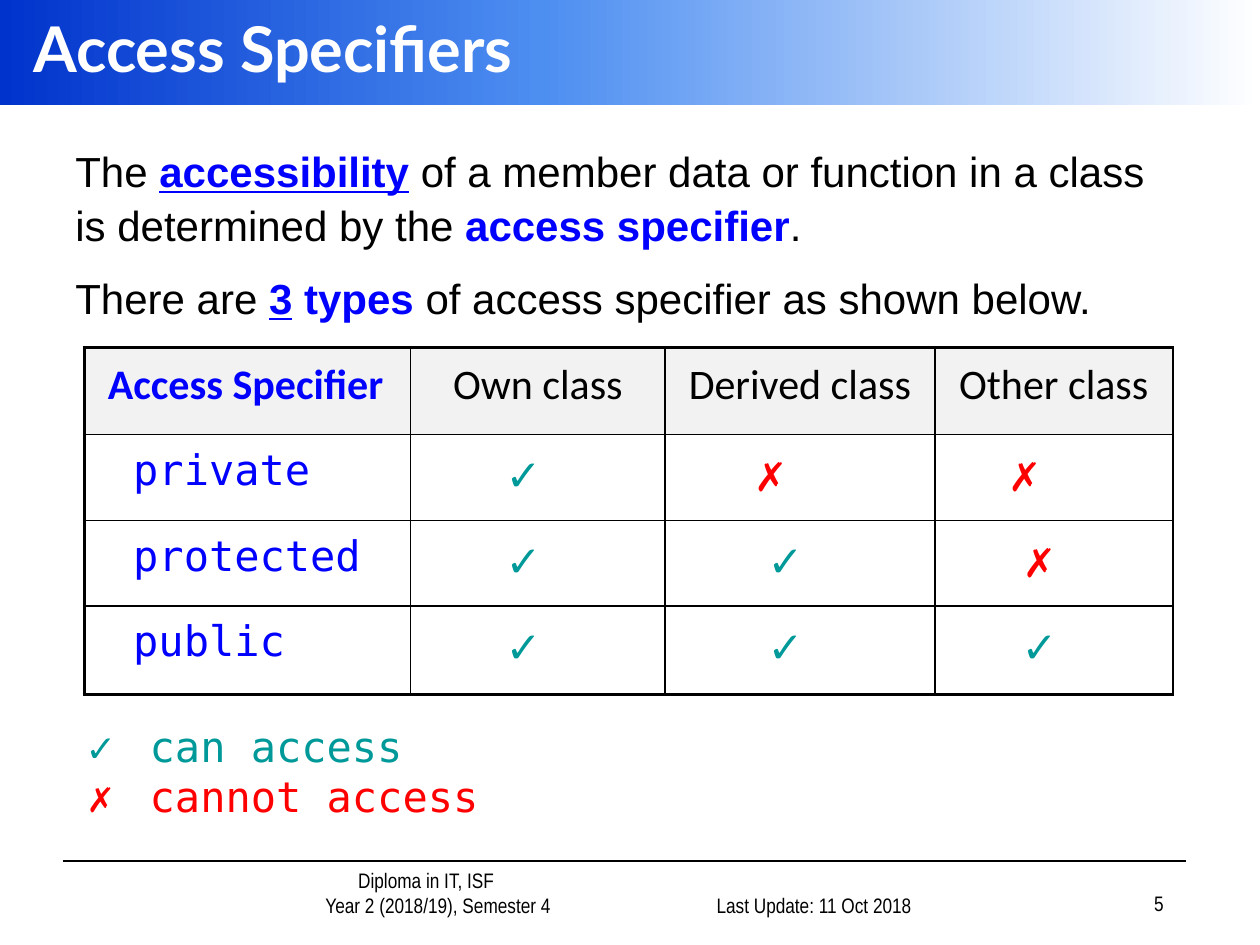
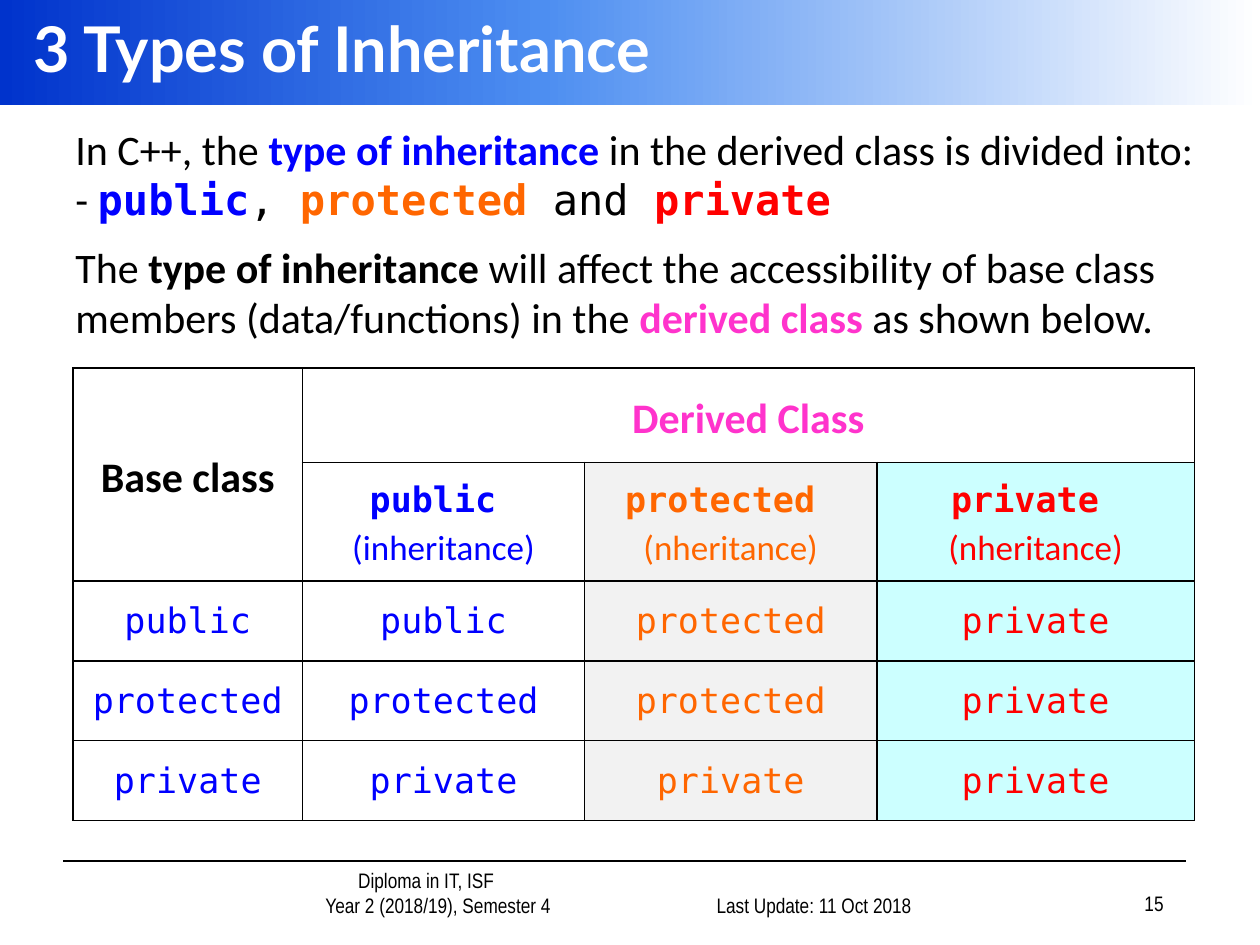
"""Build two lecture slides on access specifiers and inheritance."""
from copy import deepcopy
from dataclasses import dataclass

from lxml import etree
from pptx import Presentation
from pptx.dml.color import RGBColor
from pptx.enum.shapes import MSO_CONNECTOR, MSO_SHAPE
from pptx.enum.text import MSO_ANCHOR, PP_ALIGN
from pptx.oxml.ns import qn
from pptx.util import Pt

STRAIGHT = MSO_CONNECTOR.STRAIGHT
RECTANGLE = MSO_SHAPE.RECTANGLE
CENTER, RIGHT = PP_ALIGN.CENTER, PP_ALIGN.RIGHT
TOP, MIDDLE, BOTTOM = MSO_ANCHOR.TOP, MSO_ANCHOR.MIDDLE, MSO_ANCHOR.BOTTOM


@dataclass(frozen=True)
class Theme:
    """Colours, fonts, type sizes and line widths of the slides."""
    black: str = "000000"
    white: str = "FFFFFF"
    blue: str = "0000FF"
    orange: str = "FF6600"
    red: str = "FF0000"
    teal: str = "009999"
    pink: str = "FF33CC"
    grey: str = "F2F2F2"
    aqua: str = "CCFFFF"
    band: tuple = ((0, "0033CC"), (0.43, "4D8EF1"), (1, "FFFFFF"))
    title_font: str = "Lato"
    text_font: str = "Calibri"
    plain_font: str = "Arial"
    code_font: str = "DejaVu Sans Mono"
    footer_font: str = "Arial Narrow"
    title_size: float = 36
    mark_size: float = 28
    text_size: float = 24
    small_size: float = 20
    footer_size: float = 12
    thin: float = 1
    thick: float = 2.25


THEME = Theme()


def style(color=None, size=None, name=None, **attributes):
    """Return the format values of a run, leaving out those not given."""
    values = {"color": color, "size": size and Pt(size), "name": name, **attributes}
    return {key: value for key, value in values.items() if value is not None}


def paragraph_of(*runs, **values):
    """Return a paragraph as its runs and its format values."""
    return runs, values


def apply(target, values):
    """Set each format value as an attribute of the target."""
    for attribute, value in values.items():
        setattr(target, attribute, value)


class Deck:
    """Holds the theme, the presentation and the current slide."""

    def __init__(self, theme):
        """Start an empty presentation."""
        self.theme = theme
        self.slide = None
        self.presentation = Presentation()
        apply(self.presentation, {"slide_width": Pt(720), "slide_height": Pt(540)})

    def fill_frame(self, frame, paragraphs, base, frame_values):
        """Fill a text frame with formatted paragraphs."""
        apply(frame, {"word_wrap": True, **frame_values})
        for index, (runs, values) in enumerate(paragraphs):
            paragraph = frame.paragraphs[0] if index == 0 else frame.add_paragraph()
            values = dict(values)
            for indent in ("marL", "indent"):
                if indent in values:
                    properties = paragraph._p.get_or_add_pPr()
                    properties.set(indent, str(Pt(values.pop(indent))))
            apply(paragraph, values)
            for item in runs:
                text, extra = (item, {}) if isinstance(item, str) else item
                run = paragraph.add_run()
                run.text = text
                font_values = {**base, **extra}
                run.font.color.rgb = RGBColor.from_string(font_values.pop("color"))
                apply(run.font, font_values)

    def text(self, box, paragraphs, base, anchor=TOP):
        """Add a text box."""
        shape = self.slide.shapes.add_textbox(*map(Pt, box))
        self.fill_frame(shape.text_frame, paragraphs, base, {"vertical_anchor": anchor})

    def band(self, box):
        """Add the gradient band behind the title."""
        shape = self.slide.shapes.add_shape(RECTANGLE, *map(Pt, box))
        shape.shadow.inherit = False
        shape.line.fill.background()
        shape.fill.gradient()
        shape.fill.gradient_angle = 0
        stop_list = shape._element.spPr.find(".//" + qn("a:gsLst"))
        stop_list.append(deepcopy(stop_list[-1]))
        for stop, (position, color) in zip(shape.fill.gradient_stops, self.theme.band):
            stop.position = position
            stop.color.rgb = RGBColor.from_string(color)

    def rule(self, left, top, right):
        """Add a horizontal line."""
        line = self.slide.shapes.add_connector(
            STRAIGHT, Pt(left), Pt(top), Pt(right), Pt(top))
        line.line.color.rgb = RGBColor.from_string(self.theme.black)
        line.line.width = Pt(self.theme.thin)
        etree.SubElement(line._element.spPr, qn("a:effectLst"))

    def page(self, title, number):
        """Add a slide with its title band and footer."""
        theme = self.theme
        self.slide = self.presentation.slides.add_slide(
            self.presentation.slide_layouts[6])
        self.band((0, 0, 720, 60))
        self.text((12, 0, 708, 54), [paragraph_of(title)],
                  style(theme.white, theme.title_size, theme.title_font, bold=True),
                  MIDDLE)
        self.rule(36, 492, 678)
        course = [paragraph_of("Diploma in IT, ISF", alignment=CENTER, marL=36),
                  paragraph_of("Year 2 (2018/19), Semester 4",
                               alignment=CENTER, marL=49.7)]
        update = [paragraph_of("Last Update: 11 Oct 2018", alignment=RIGHT)]
        page_number = [paragraph_of(str(number), alignment=RIGHT)]
        footer = style(theme.black, theme.footer_size, theme.footer_font)
        for box, paragraphs in (((121, 498.2, 209, 30), course),
                                ((342, 498.2, 186, 30), update),
                                ((522, 496.8, 150, 30), page_number)):
            self.text(box, paragraphs, footer, BOTTOM)

    def table(self, left, top, widths, heights):
        """Add an unstyled table with the given grid."""
        frame = self.slide.shapes.add_table(
            len(heights), len(widths), Pt(left), Pt(top),
            Pt(sum(widths)), Pt(sum(heights)))
        table = frame.table
        apply(table, {"first_row": False, "horz_banding": False})
        for column, width in zip(table.columns, widths):
            column.width = Pt(width)
        for row, height in zip(table.rows, heights):
            row.height = Pt(height)
        return table

    def cell(self, cell, paragraphs, base, insets, fill=None, anchor=TOP, thick=""):
        """Fill a cell; thick names the sides (L, R, T, B) with a heavy border."""
        theme = self.theme
        left, upper, right, lower = map(Pt, insets)
        apply(cell, {"margin_left": left, "margin_top": upper, "margin_right": right,
                     "margin_bottom": lower, "vertical_anchor": anchor})
        self.fill_frame(cell.text_frame, paragraphs, base, {})
        properties = cell._tc.get_or_add_tcPr()
        for side in "LRTB":
            width = theme.thick if side in thick else theme.thin
            border = etree.SubElement(properties, qn("a:ln" + side), w=str(Pt(width)))
            solid = etree.SubElement(border, qn("a:solidFill"))
            etree.SubElement(solid, qn("a:srgbClr"), val=theme.black)
        if fill:
            cell.fill.solid()
            cell.fill.fore_color.rgb = RGBColor.from_string(fill)
        else:
            cell.fill.background()


def access_slide(deck):
    """Build the slide that says which class can access which members."""
    theme = deck.theme
    deck.page("Access Specifiers", 5)
    key = style(theme.blue, bold=True)
    deck.text((36, 78, 648, 120), [
        paragraph_of("The ", ("accessibility", {**key, "underline": True}),
                     " of a member data or function in a class is determined by the ",
                     ("access specifier", key), ".", line_spacing=1.06),
        paragraph_of("There are ", ("3", {**key, "underline": True}), (" types ", key),
                     "of access specifier as shown below.",
                     line_spacing=1.06, space_before=Pt(11.5)),
    ], style(theme.black, theme.text_size, theme.plain_font))

    headings = ("Access Specifier", "Own class", "Derived class", "Other class")
    access = (("private", "✓✗✗"), ("protected", "✓✓✗"), ("public", "✓✓✓"))
    mark_colors = {"✓": theme.teal, "✗": theme.red}
    code = style(theme.blue, theme.text_size, theme.code_font)
    heading = style(theme.black, theme.text_size, theme.text_font)
    table = deck.table(48.2, 198.7, (186.5, 145.4, 154.1, 136.1), (49.7, 49, 49, 50.4))
    insets = (13.5, 6.7, 13.5, 6.7)
    centered = {"alignment": CENTER, "space_before": Pt(6.7)}
    spaced = {"space_before": Pt(6), "space_after": Pt(6)}
    for column, label in enumerate(headings):
        first = column == 0
        deck.cell(table.cell(0, column),
                  [paragraph_of(label, **(spaced if first else centered))],
                  {**heading, **key} if first else heading, insets, theme.grey,
                  thick="LT" if first else "T")
    for row, (specifier, marks) in enumerate(access, 1):
        bottom = "B" if row == len(access) else ""
        deck.cell(table.cell(row, 0), [paragraph_of(" " + specifier, **spaced)],
                  code, insets, thick="L" + bottom)
        for column, mark in enumerate(marks, 1):
            shifted = specifier == "private" and mark == "✗"
            mark_insets = (13.5, 6.7, 30.4, 6.7) if shifted else insets
            deck.cell(table.cell(row, column), [paragraph_of(mark + " ", **centered)],
                      style(mark_colors[mark], theme.mark_size, theme.code_font),
                      mark_insets, thick=bottom)

    legend = (("✓", "can access"), ("✗", "cannot access"))
    deck.text((43.2, 408.2, 640.8, 66), [
        paragraph_of((mark + "\t", style(mark_colors[mark], bold=True)),
                     (meaning, style(mark_colors[mark])), marL=35.3, indent=-35.3)
        for mark, meaning in legend], code)


def inheritance_slide(deck):
    """Build the slide on the three types of inheritance."""
    theme = deck.theme
    deck.page("3 Types of Inheritance", 15)
    levels = ("public", "protected", "private")
    colors = (theme.blue, theme.orange, theme.red)
    fills = (theme.white, theme.grey, theme.aqua)
    body = style(theme.black, theme.text_size, theme.text_font)
    code = style(name=theme.code_font)
    public, protected, private = (
        (level, {**code, **style(color, bold=True)})
        for level, color in zip(levels, colors))
    deck.text((36, 67, 681, 129.6), [
        paragraph_of("In C++, the ",
                     ("type of inheritance ", style(theme.blue, bold=True)),
                     "in the derived class is divided into:"),
        paragraph_of("- ", public, (", ", code), protected, (" and ", code), private),
        paragraph_of("The ", ("type of inheritance", style(bold=True)),
                     " will affect the accessibility of base class members "
                     "(data/functions) in the ",
                     ("derived class ", style(theme.pink, bold=True)),
                     "as shown below.", space_before=Pt(9.7)),
    ], body)

    table = deck.table(41.8, 210.2, (131, 161.3, 167, 181.4),
                       (54, 67.7, 45.7, 45.7, 45.7))
    table.cell(0, 0).merge(table.cell(1, 0))
    table.cell(0, 1).merge(table.cell(0, 3))
    insets = (5, 0, 5, 0)
    head = {"alignment": CENTER, "line_spacing": 1.15}
    entry = {"alignment": CENTER, "line_spacing": 1.5}
    small = style(size=theme.small_size)
    heads = {(0, 0): ("Base class", theme.black), (0, 1): ("Derived Class", theme.pink)}
    for position in ((0, 0), (0, 1), (0, 2), (0, 3), (1, 0)):
        label, color = heads.get(position, ("", theme.black))
        paragraphs = [paragraph_of(label, **head)] if label else []
        deck.cell(table.cell(*position), paragraphs,
                  {**body, **style(color, bold=True)}, insets, anchor=MIDDLE)
    for inherited, (level, color, fill) in enumerate(zip(levels, colors, fills)):
        column = inherited + 1
        note = "(inheritance)" if level == "public" else "(nheritance)"
        deck.cell(table.cell(1, column), [
            paragraph_of((level + " ", {**code, "bold": True}), **head),
            paragraph_of(note, **head),
        ], {**body, **small, **style(color)}, insets, fill, MIDDLE)
        for base in range(len(levels)):
            result = levels[max(base, inherited)]
            deck.cell(table.cell(base + 2, column), [paragraph_of(result, **entry)],
                      {**small, **code, **style(color)}, insets, fill)
    for row, level in enumerate(levels, 2):
        deck.cell(table.cell(row, 0), [paragraph_of(level, **entry)],
                  {**small, **code, **style(theme.blue)}, insets)


def main():
    """Build and save the slides."""
    deck = Deck(THEME)
    access_slide(deck)
    inheritance_slide(deck)
    deck.presentation.save("out.pptx")


if __name__ == "__main__":
    main()
